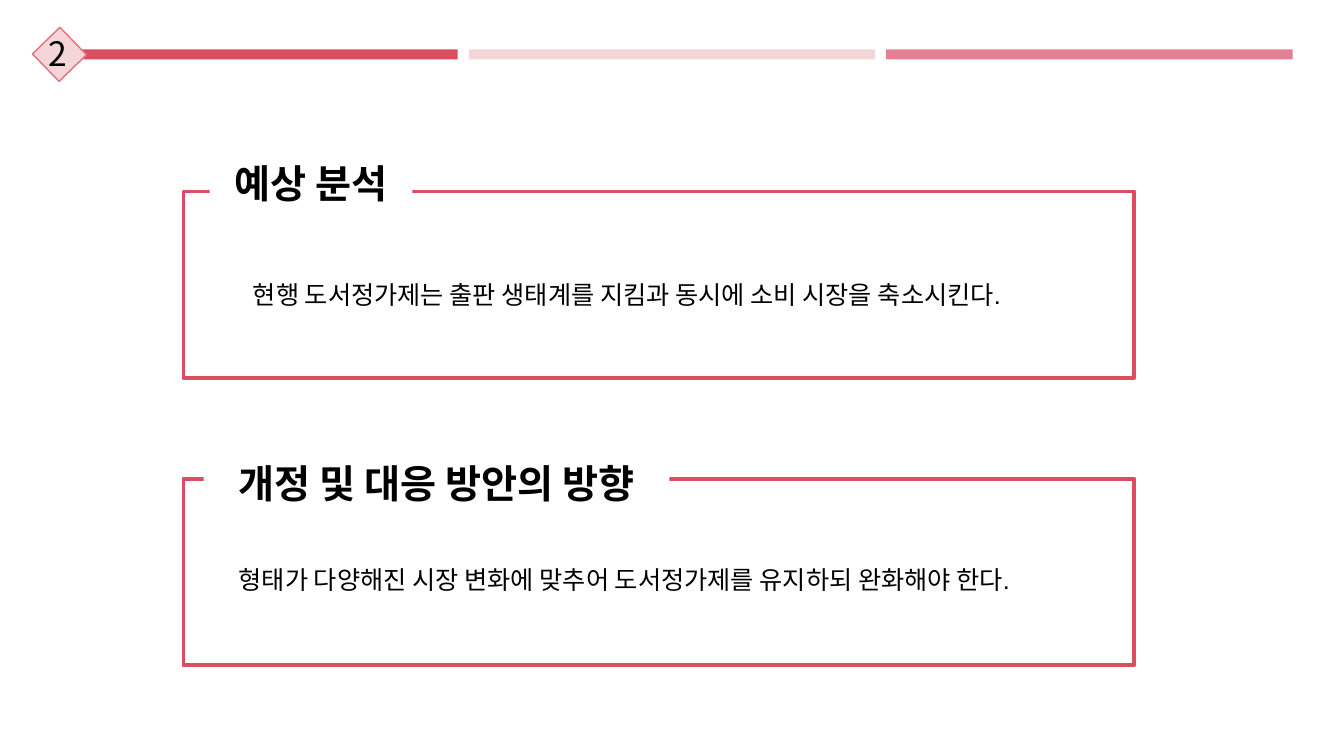
from pptx import Presentation, util as u
from pptx.dml.color import RGBColor
from pptx.enum import shapes, text
from pptx.oxml import ns
from lxml import etree

ROSE = RGBColor(0xDA, 0x4E, 0x5F)
PALE = RGBColor(0xF4, 0xD6, 0xD8)
PINK = RGBColor(0xE3, 0x80, 0x94)
EDGE = RGBColor(0xE2, 0x70, 0x7E)
WHITE = RGBColor(0xFF, 0xFF, 0xFF)
BLACK = RGBColor(0, 0, 0)
SANS, ARIAL = "Noto Sans CJK KR", "Arial"

WIDTH, HEIGHT = 13.33, 7.5
PAGE_NUMBER = "2"
BAR_COLOURS = [ROSE, PALE, PINK]
BAR_LEFT, BAR_TOP, BAR_WIDTH, BAR_HEIGHT, BAR_STEP = 0.51, 0.49, 4.03, 0.1, 4.14
FRAME_LEFT, FRAME_WIDTH, FRAME_HEIGHT = 1.82, 9.43, 1.85
SECTIONS = [
    dict(top=1.9, title="예상 분석", title_box=(2.08, 1.3, 2.01, 0.75),
         body="현행 도서정가제는 출판 생태계를 지킴과 동시에 소비 시장을 축소시킨다.",
         body_box=(2.41, 2.54, 10.22, 0.52), spacing=1.6),
    dict(top=4.75, title="개정 및 대응 방안의 방향", title_box=(2.02, 4.28, 4.62, 0.75),
         body="형태가 다양해진 시장 변화에 맞추어 도서정가제를 유지하되 완화해야 한다.",
         body_box=(2.27, 5.55, 8.8, 0.4), spacing=1.0),
]


def add_rect(slide, box, fill=None, line=None, weight=1):
    sp = slide.shapes.add_shape(shapes.MSO_SHAPE.RECTANGLE, *map(u.Inches, box))
    sp.shadow.inherit = False
    if fill is None:
        sp.fill.background()
    else:
        sp.fill.solid()
        sp.fill.fore_color.rgb = fill
    if line is None:
        sp.line.fill.background()
    else:
        sp.line.color.rgb = line
        sp.line.width = u.Pt(weight)
    return sp


def write(sp, words, size, font, bold=False, spacing=1.0, wrap=True,
          align=text.PP_ALIGN.LEFT):
    tf = sp.text_frame
    tf.word_wrap = wrap
    tf.auto_size = text.MSO_AUTO_SIZE.SHAPE_TO_FIT_TEXT
    p = tf.paragraphs[0]
    p.alignment = align
    p.line_spacing = spacing
    r = p.add_run()
    r.text = words
    r.font.size = u.Pt(size)
    r.font.name = font
    r.font.bold = bold
    r.font.color.rgb = BLACK
    etree.SubElement(r.font._element, ns.qn("a:ea")).set("typeface", SANS)


def add_text(slide, box, *args, **kwargs):
    write(slide.shapes.add_textbox(*map(u.Inches, box)), *args, **kwargs)


def add_header(slide):
    for i, colour in enumerate(BAR_COLOURS):
        add_rect(slide, (BAR_LEFT + i * BAR_STEP, BAR_TOP, BAR_WIDTH, BAR_HEIGHT), colour)
    diamond = add_rect(slide, (0.4, 0.35, 0.38, 0.38), PALE, EDGE)
    diamond.rotation = 45.8
    add_text(slide, (0.38, 0.28, 0.41, 0.5), PAGE_NUMBER, 24, SANS, wrap=False)


def add_section(slide, section):
    add_text(slide, section["body_box"], section["body"], 18, ARIAL,
             spacing=section["spacing"])
    add_rect(slide, (FRAME_LEFT, section["top"], FRAME_WIDTH, FRAME_HEIGHT),
             line=ROSE, weight=2.75)
    title = add_rect(slide, section["title_box"], WHITE)
    title.text_frame.vertical_anchor = text.MSO_ANCHOR.MIDDLE
    write(title, section["title"], 28, SANS, bold=True, spacing=1.6,
          align=text.PP_ALIGN.CENTER)


def main():
    """Build the summary slide with two framed sections."""
    prs = Presentation()
    prs.slide_width, prs.slide_height = u.Inches(WIDTH), u.Inches(HEIGHT)
    slide = prs.slides.add_slide(prs.slide_layouts[6])
    add_header(slide)
    for section in SECTIONS:
        add_section(slide, section)
    prs.save("out.pptx")


if __name__ == "__main__":
    main()
